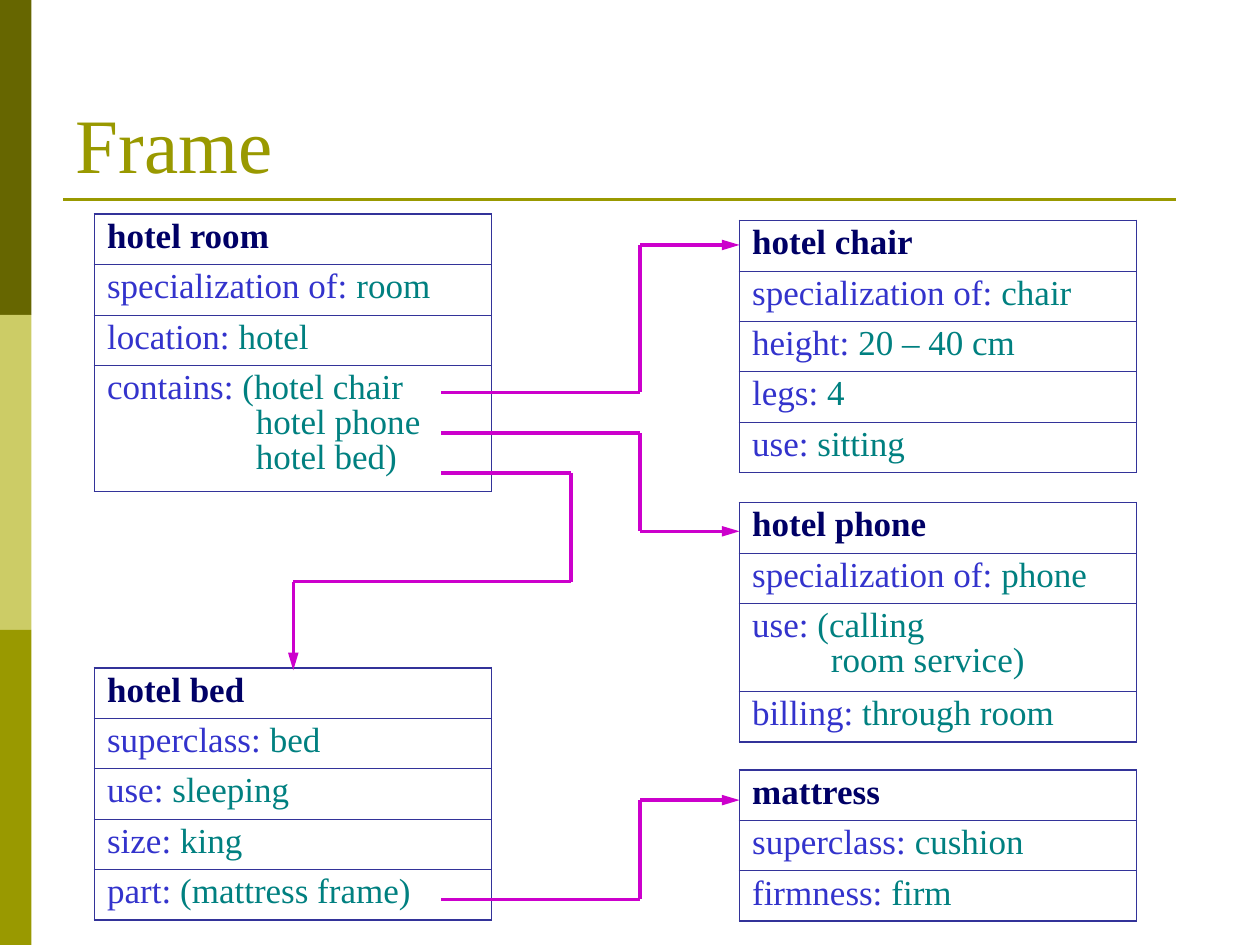
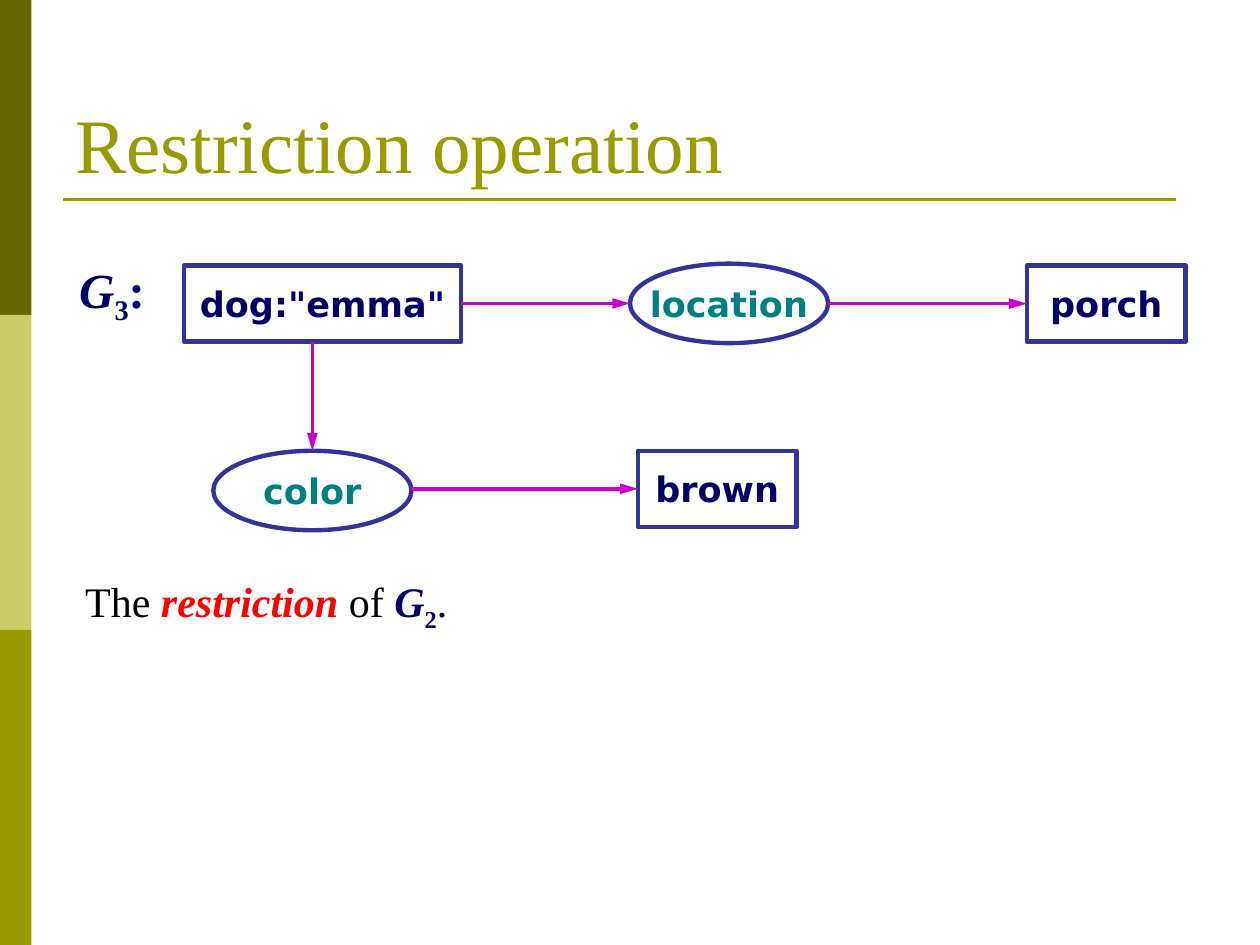
from dataclasses import dataclass
from itertools import pairwise

from lxml.etree import SubElement
from pptx import Presentation
from pptx.dml.color import RGBColor
from pptx.enum.shapes import MSO_CONNECTOR, MSO_SHAPE
from pptx.enum.text import MSO_ANCHOR, MSO_AUTO_SIZE, PP_ALIGN
from pptx.oxml.ns import qn
from pptx.util import Pt


@dataclass(frozen=True)
class Theme:
    serif: str = "Times New Roman"
    sans: str = "DejaVu Sans"
    olive: str = "999900"
    dark_olive: str = "666600"
    light_olive: str = "CCCC66"
    navy: str = "000066"
    blue: str = "3333CC"
    border: str = "333399"
    teal: str = "008080"
    arrow: str = "CC00CC"
    red: str = "FF0000"
    black: str = "000000"
    title_size: float = 44
    graph_size: float = 28
    note_size: float = 24
    body_size: float = 20
    outer_line: float = 1.08
    inner_line: float = 0.45
    rule_line: float = 1.5
    arrow_line: float = 2
    node_line: float = 2.5


THEME = Theme()
PAGE_WIDTH, PAGE_HEIGHT = 720, 540
BAND_WIDTH = 18
FRAME_WIDTH = 226.8
ROW_HEIGHT, EXTRA_LINE = 28.8, 21.6
LEFT_COLUMN, RIGHT_COLUMN = 54, 422.6


@dataclass(frozen=True)
class Span:
    text: str
    color: str
    bold: bool = False
    italic: bool = False
    subscript: bool = False


@dataclass(frozen=True)
class Slot:
    label: str
    lines: tuple[str, ...]
    indent: float = 0  # of the lines after the first


@dataclass(frozen=True)
class Frame:
    name: str
    left: float
    top: float
    slots: tuple[Slot, ...]


@dataclass(frozen=True)
class Node:
    text: str
    left: float
    top: float
    width: float
    height: float
    is_relation: bool = False

    @property
    def right(self) -> float:
        return self.left + self.width

    @property
    def bottom(self) -> float:
        return self.top + self.height

    @property
    def center(self) -> float:
        return self.left + self.width / 2

    @property
    def middle(self) -> float:
        return self.top + self.height / 2


Point = tuple[float, float]


# Shared drawing
def rgb(color: str) -> RGBColor:
    return RGBColor.from_string(color)


def write(para, spans: list[Span], font: str, size: float) -> None:
    para.font.name, para.font.size = font, Pt(size)
    for span in spans:
        run = para.add_run()
        run.text = span.text
        run.font.color.rgb = rgb(span.color)
        run.font.bold, run.font.italic = span.bold, span.italic
        if span.subscript:
            run.font._element.set("baseline", "-25000")


def add_line(page, start: Point, end: Point, color: str, width: float, arrow: bool = False) -> None:
    line = page.shapes.add_connector(MSO_CONNECTOR.STRAIGHT, *map(Pt, start + end))
    line.line.color.rgb = rgb(color)
    line.line.width = Pt(width)
    if arrow:
        SubElement(line.line._get_or_add_ln(), qn("a:tailEnd"), type="triangle", w="med", len="lg")
    SubElement(line._element.spPr, qn("a:effectLst"))


def add_route(page, *points: Point) -> None:
    """Draw straight legs through the points, with an arrowhead on the last."""
    for start, end in pairwise(points):
        add_line(page, start, end, THEME.arrow, THEME.arrow_line, arrow=end == points[-1])


def add_text(page, box: tuple[float, ...], spans: list[Span], size: float) -> None:
    frame = page.shapes.add_textbox(*map(Pt, box)).text_frame
    frame.word_wrap = True
    write(frame.paragraphs[0], spans, THEME.serif, size)


def add_page(deck, title: str):
    page = deck.slides.add_slide(deck.slide_layouts[5])
    # Side bands and the rule under the title
    band_height = PAGE_HEIGHT / 3
    for index, color in enumerate((THEME.dark_olive, THEME.light_olive, THEME.olive)):
        band = page.shapes.add_shape(
            MSO_SHAPE.RECTANGLE, 0, Pt(index * band_height), Pt(BAND_WIDTH), Pt(band_height))
        band.shadow.inherit = False
        band.fill.solid()
        band.fill.fore_color.rgb = rgb(color)
        band.line.fill.background()
    add_line(page, (36, 114), (672, 114), THEME.olive, THEME.rule_line)
    # Title
    box = page.shapes.title
    box.left, box.top, box.width, box.height = Pt(36), Pt(21.6), Pt(648), Pt(90)
    box.text_frame.auto_size = MSO_AUTO_SIZE.NONE
    box.text_frame.vertical_anchor = MSO_ANCHOR.BOTTOM
    para = box.text_frame.paragraphs[0]
    para.alignment = PP_ALIGN.LEFT
    write(para, [Span(title, THEME.olive)], THEME.serif, THEME.title_size)
    return page


# Frames as tables
def set_borders(cell, first: bool, last: bool) -> None:
    outer, inner = THEME.outer_line, THEME.inner_line
    widths = {"lnL": outer, "lnR": outer,
              "lnT": outer if first else inner, "lnB": outer if last else inner}
    properties = cell._tc.get_or_add_tcPr()
    for tag, width in widths.items():
        edge = SubElement(properties, qn(f"a:{tag}"), w=str(Pt(width)))
        fill = SubElement(edge, qn("a:solidFill"))
        SubElement(fill, qn("a:srgbClr"), val=THEME.border)


def cell_lines(frame: Frame) -> list[list[list[Span]]]:
    rows = [[[Span(frame.name, THEME.navy, bold=True)]]]
    for slot in frame.slots:
        lines = [[Span(text, THEME.teal)] for text in slot.lines]
        lines[0].insert(0, Span(f"{slot.label}: ", THEME.blue))
        rows.append(lines)
    return rows


def add_frame(page, frame: Frame) -> None:
    rows = cell_lines(frame)
    indents = [0] + [slot.indent for slot in frame.slots]
    heights = [ROW_HEIGHT + EXTRA_LINE * (len(lines) - 1) for lines in rows]
    table = page.shapes.add_table(
        len(rows), 1, Pt(frame.left), Pt(frame.top), Pt(FRAME_WIDTH), Pt(sum(heights))).table
    table.first_row = table.horz_banding = False
    for index, lines in enumerate(rows):
        table.rows[index].height = Pt(heights[index])
        cell = table.cell(index, 0)
        set_borders(cell, first=index == 0, last=index == len(rows) - 1)
        cell.fill.background()
        for number, spans in enumerate(lines):
            text = cell.text_frame
            para = text.add_paragraph() if number else text.paragraphs[0]
            para.line_spacing = 0.9
            if number:
                para._p.get_or_add_pPr().set("marL", str(Pt(indents[index])))
            write(para, spans, THEME.serif, THEME.body_size)


# Graph nodes
def add_node(page, node: Node) -> None:
    kind = MSO_SHAPE.OVAL if node.is_relation else MSO_SHAPE.RECTANGLE
    shape = page.shapes.add_shape(
        kind, Pt(node.left), Pt(node.top), Pt(node.width), Pt(node.height))
    shape.shadow.inherit = False
    shape.fill.background()
    shape.line.color.rgb = rgb(THEME.border)
    shape.line.width = Pt(THEME.node_line)
    text = shape.text_frame
    text.word_wrap = False
    text.vertical_anchor = MSO_ANCHOR.MIDDLE
    para = text.paragraphs[0]
    para.alignment = PP_ALIGN.CENTER
    color = THEME.teal if node.is_relation else THEME.navy
    write(para, [Span(node.text, color, bold=True)], THEME.sans, THEME.body_size)


# Pages
FRAMES = (
    Frame("hotel room", LEFT_COLUMN, 122.4, (
        Slot("specialization of", ("room",)),
        Slot("location", ("hotel",)),
        Slot("contains", ("(hotel chair", "hotel phone", "hotel bed)"), 85))),
    Frame("hotel chair", RIGHT_COLUMN, 126, (
        Slot("specialization of", ("chair",)),
        Slot("height", ("20 – 40 cm",)),
        Slot("legs", ("4",)),
        Slot("use", ("sitting",)))),
    Frame("hotel phone", RIGHT_COLUMN, 287.2, (
        Slot("specialization of", ("phone",)),
        Slot("use", ("(calling", "room service)"), 45),
        Slot("billing", ("through room",)))),
    Frame("mattress", RIGHT_COLUMN, 440, (
        Slot("superclass", ("cushion",)),
        Slot("firmness", ("firm",)))),
    Frame("hotel bed", LEFT_COLUMN, 381.6, (
        Slot("superclass", ("bed",)),
        Slot("use", ("sleeping",)),
        Slot("size", ("king",)),
        Slot("part", ("(mattress frame)",)))),
)


def build_frames(deck) -> None:
    page = add_page(deck, "Frame")
    for frame in FRAMES:
        add_frame(page, frame)
    # Links from a slot to the frame it names
    start, turn = 252, 365.8
    for slot_y, frame_y in ((224.2, 140), (247.4, 303.6), (514, 457.2)):
        add_route(page, (start, slot_y), (turn, slot_y), (turn, frame_y), (RIGHT_COLUMN, frame_y))
    bed_x, bed_turn, bed_y = 167.6, 326.2, 332.4
    add_route(page, (start, 270.2), (bed_turn, 270.2), (bed_turn, bed_y),
              (bed_x, bed_y), (bed_x, 383))


def build_restriction(deck) -> None:
    page = add_page(deck, "Restriction operation")
    add_text(page, (38.2, 144.7, 67.7, 45.4), [
        Span("G", THEME.navy, bold=True, italic=True),
        Span("3", THEME.navy, bold=True, subscript=True),
        Span(":", THEME.navy, bold=True)], THEME.graph_size)
    # Concepts are boxes, relations are ellipses
    dog = Node('dog:"emma"', 105.1, 151.8, 158.4, 43.4)
    location = Node("location", 360, 150.7, 113.2, 45.4, is_relation=True)
    porch = Node("porch", 586.8, 151.8, 90.7, 43.4)
    color = Node("color", 121.9, 257.6, 113.2, 45.4, is_relation=True)
    brown = Node("brown", 364.5, 257.6, 90.7, 43.4)
    for node in (dog, location, porch, color, brown):
        add_node(page, node)
    for source, target in ((dog, location), (location, porch), (color, brown)):
        add_route(page, (source.right, target.middle), (target.left, target.middle))
    add_route(page, (color.center, dog.bottom), (color.center, color.top))
    add_text(page, (41.6, 325.6, 295.2, 40.3), [
        Span("The ", THEME.black),
        Span("restriction", THEME.red, bold=True, italic=True),
        Span(" of ", THEME.black),
        Span("G", THEME.navy, bold=True, italic=True),
        Span("2", THEME.navy, bold=True, subscript=True),
        Span(".", THEME.black)], THEME.note_size)


def main() -> None:
    deck = Presentation()
    deck.slide_width, deck.slide_height = Pt(PAGE_WIDTH), Pt(PAGE_HEIGHT)
    build_frames(deck)
    build_restriction(deck)
    deck.save("out.pptx")


if __name__ == "__main__":
    main()
